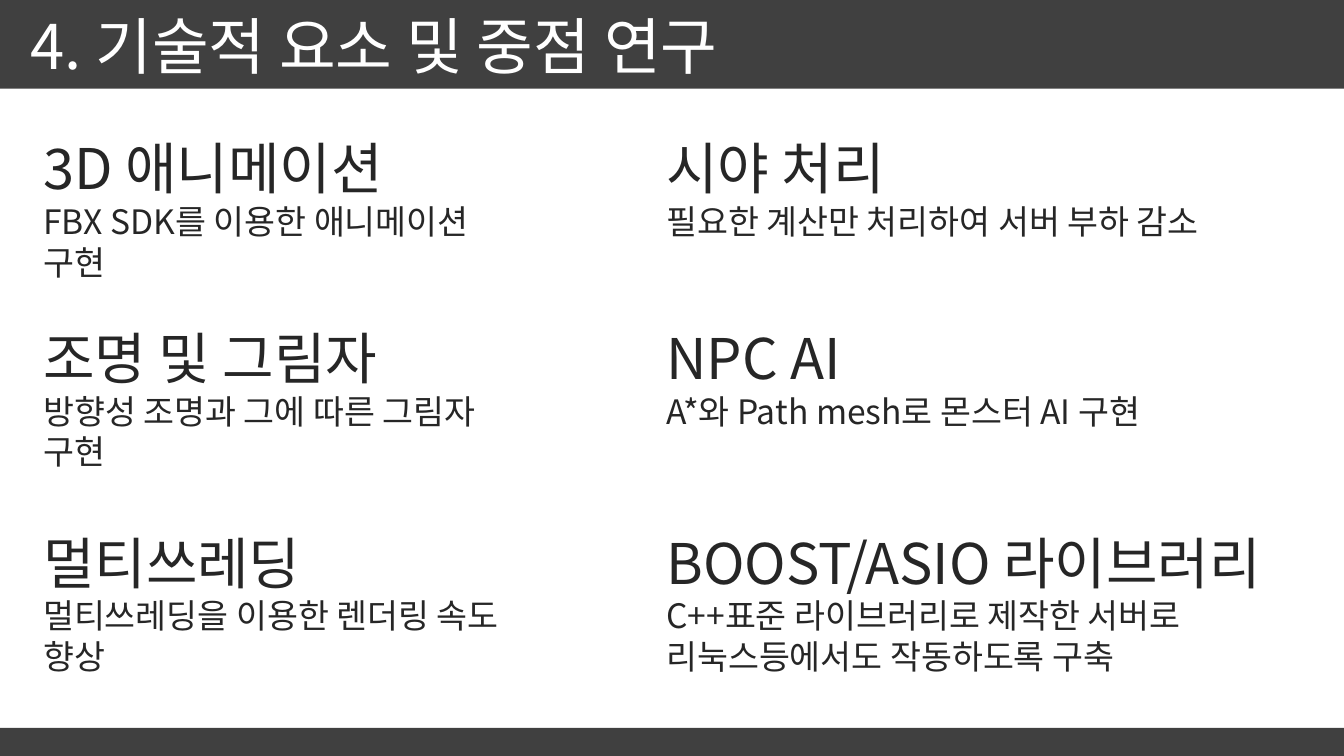
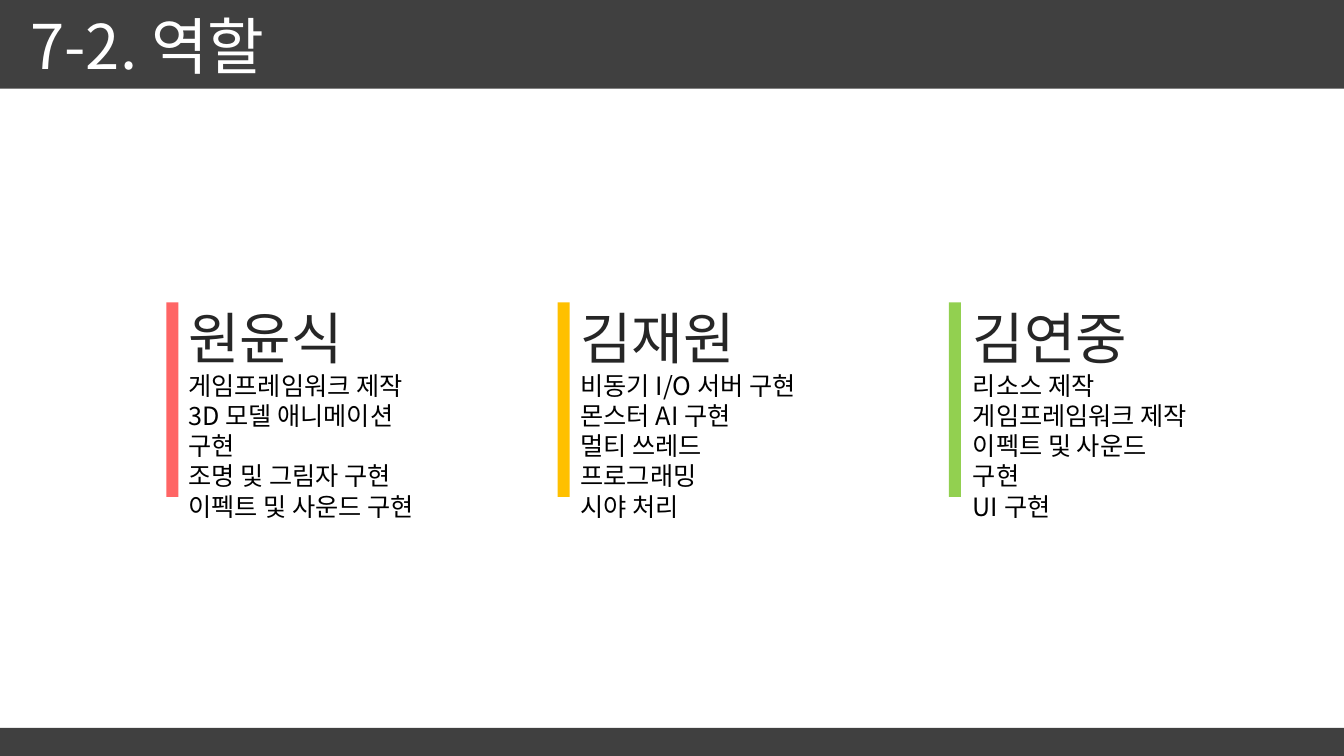
from pptx import Presentation
from pptx.dml.color import RGBColor
from pptx.enum.shapes import MSO_SHAPE
from pptx.enum.text import MSO_ANCHOR, MSO_AUTO_SIZE, PP_ALIGN
from pptx.oxml.ns import qn
from pptx.util import Inches, Pt

FONT = "Noto Sans CJK KR"
BAND, WHITE, HEADING, BLACK = "404040", "FFFFFF", "262626", "000000"
TITLE_SIZE, HEADING_SIZE, DESCRIPTION_SIZE, TASK_SIZE = 44, 40, 24, 18

SLIDE_WIDTH, SLIDE_HEIGHT = 13.33, 7.5
HEADER_HEIGHT, FOOTER_HEIGHT = 0.88, 0.28
TITLE_LEFT, TITLE_TOP, TITLE_HEIGHT = 0.2, 0.03, 0.84
HEADING_HEIGHT, DESCRIPTION_LINE_HEIGHT = 0.77, 0.4

FEATURES_TITLE = ("4. 기술적 요소 및 중점 연구", 8.46)  # text, width
FEATURE_TOPS = [1.28, 3.16, 5.19]
# Each column: left, then (heading, description lines, width) from top to bottom
FEATURE_COLUMNS = [
    (0.33, [
        ("3D 애니메이션", ["FBX SDK를 이용한 애니메이션 구현"], 5.05),
        ("조명 및 그림자", ["방향성 조명과 그에 따른 그림자 구현"], 5.08),
        ("멀티쓰레딩", ["멀티쓰레딩을 이용한 렌더링 속도 향상"], 5.3),
    ]),
    (6.51, [
        ("시야 처리", ["필요한 계산만 처리하여 서버 부하 감소"], 6.18),
        ("NPC AI", ["A*와 Path mesh로 몬스터 AI 구현"], 5.53),
        ("BOOST/ASIO 라이브러리",
         ["C++표준 라이브러리로 제작한 서버로", "리눅스등에서도 작동하도록 구축"], 6.48),
    ]),
]

ROLES_TITLE = ("7-2. 역할", 3.96)  # text, width
# Member, bar colour, width of the task list, tasks
ROLES = [
    ("원윤식", "FF6565", 2.72,
     ["게임프레임워크 제작", "3D 모델 애니메이션 구현", "조명 및 그림자 구현", "이펙트 및 사운드 구현"]),
    ("김재원", "FFC000", 2.56,
     ["비동기 I/O 서버 구현", "몬스터 AI 구현", "멀티 쓰레드 프로그래밍", "시야 처리"]),
    ("김연중", "92D050", 2.39,
     ["리소스 제작", "게임프레임워크 제작", "이펙트 및 사운드 구현", "UI 구현"]),
]
BAR_LEFT, BAR_PITCH, BAR_TOP, BAR_WIDTH, BAR_HEIGHT = 1.65, 3.88, 3, 0.12, 1.93
ROLE_LEFT, ROLE_PITCH = 1.77, 3.89
MEMBER_TOP, MEMBER_WIDTH = 2.96, 1.75
TASKS_TOP, TASKS_HEIGHT = 3.62, 1.31


def rgb(colour):
    return RGBColor.from_string(colour)


def add_bar(slide, left, top, width, height, colour):
    bar = slide.shapes.add_shape(MSO_SHAPE.RECTANGLE, Inches(left), Inches(top),
                                 Inches(width), Inches(height))
    bar.shadow.inherit = False
    bar.fill.solid()
    bar.fill.fore_color.rgb = rgb(colour)
    bar.line.fill.background()
    return bar


def use_font_for_hangul(shape):
    """Repeat each run's Latin font as its East Asian font."""
    for latin in list(shape.element.iter(qn("a:latin"))):
        latin.addnext(latin.makeelement(qn("a:ea"), {"typeface": FONT}))


def write(shape, lines):
    """Fill a shape with one paragraph per (text, size, colour)."""
    frame = shape.text_frame
    frame.word_wrap = False
    frame.auto_size = MSO_AUTO_SIZE.SHAPE_TO_FIT_TEXT
    frame.vertical_anchor = MSO_ANCHOR.TOP
    for index, (text, size, colour) in enumerate(lines):
        paragraph = frame.add_paragraph() if index else frame.paragraphs[0]
        paragraph.alignment = PP_ALIGN.LEFT
        run = paragraph.add_run()
        run.text = text
        run.font.name = FONT
        run.font.size = Pt(size)
        run.font.color.rgb = rgb(colour)
    use_font_for_hangul(shape)


def add_text(slide, left, top, width, height, lines):
    box = slide.shapes.add_textbox(Inches(left), Inches(top), Inches(width), Inches(height))
    write(box, lines)


def add_titled_slide(deck, title_text, title_width):
    slide = deck.slides.add_slide(deck.slide_layouts.get_by_name("Title Only"))
    header = add_bar(slide, 0, 0, SLIDE_WIDTH, HEADER_HEIGHT, BAND)
    add_bar(slide, 0, SLIDE_HEIGHT - FOOTER_HEIGHT, SLIDE_WIDTH, FOOTER_HEIGHT, BAND)
    title = slide.shapes.title
    header.element.addnext(title.element)  # brings the title in front of the header
    title.left, title.top = Inches(TITLE_LEFT), Inches(TITLE_TOP)
    title.width, title.height = Inches(title_width), Inches(TITLE_HEIGHT)
    write(title, [(title_text, TITLE_SIZE, WHITE)])
    return slide


def add_features_slide(deck):
    slide = add_titled_slide(deck, *FEATURES_TITLE)
    for left, features in FEATURE_COLUMNS:
        for top, (heading, description, width) in zip(FEATURE_TOPS, features):
            lines = [(heading, HEADING_SIZE, HEADING)]
            lines += [(line, DESCRIPTION_SIZE, HEADING) for line in description]
            height = HEADING_HEIGHT + DESCRIPTION_LINE_HEIGHT * len(description)
            add_text(slide, left, top, width, height, lines)


def add_roles_slide(deck):
    slide = add_titled_slide(deck, *ROLES_TITLE)
    for index, (member, colour, tasks_width, tasks) in enumerate(ROLES):
        left = ROLE_LEFT + index * ROLE_PITCH
        add_text(slide, left, MEMBER_TOP, MEMBER_WIDTH, HEADING_HEIGHT,
                 [(member, HEADING_SIZE, HEADING)])
        add_text(slide, left, TASKS_TOP, tasks_width, TASKS_HEIGHT,
                 [(task, TASK_SIZE, BLACK) for task in tasks])
        add_bar(slide, BAR_LEFT + index * BAR_PITCH, BAR_TOP, BAR_WIDTH, BAR_HEIGHT, colour)


def main():
    deck = Presentation()
    deck.slide_width, deck.slide_height = Inches(SLIDE_WIDTH), Inches(SLIDE_HEIGHT)
    add_features_slide(deck)
    add_roles_slide(deck)
    deck.save("out.pptx")


if __name__ == "__main__":
    main()
